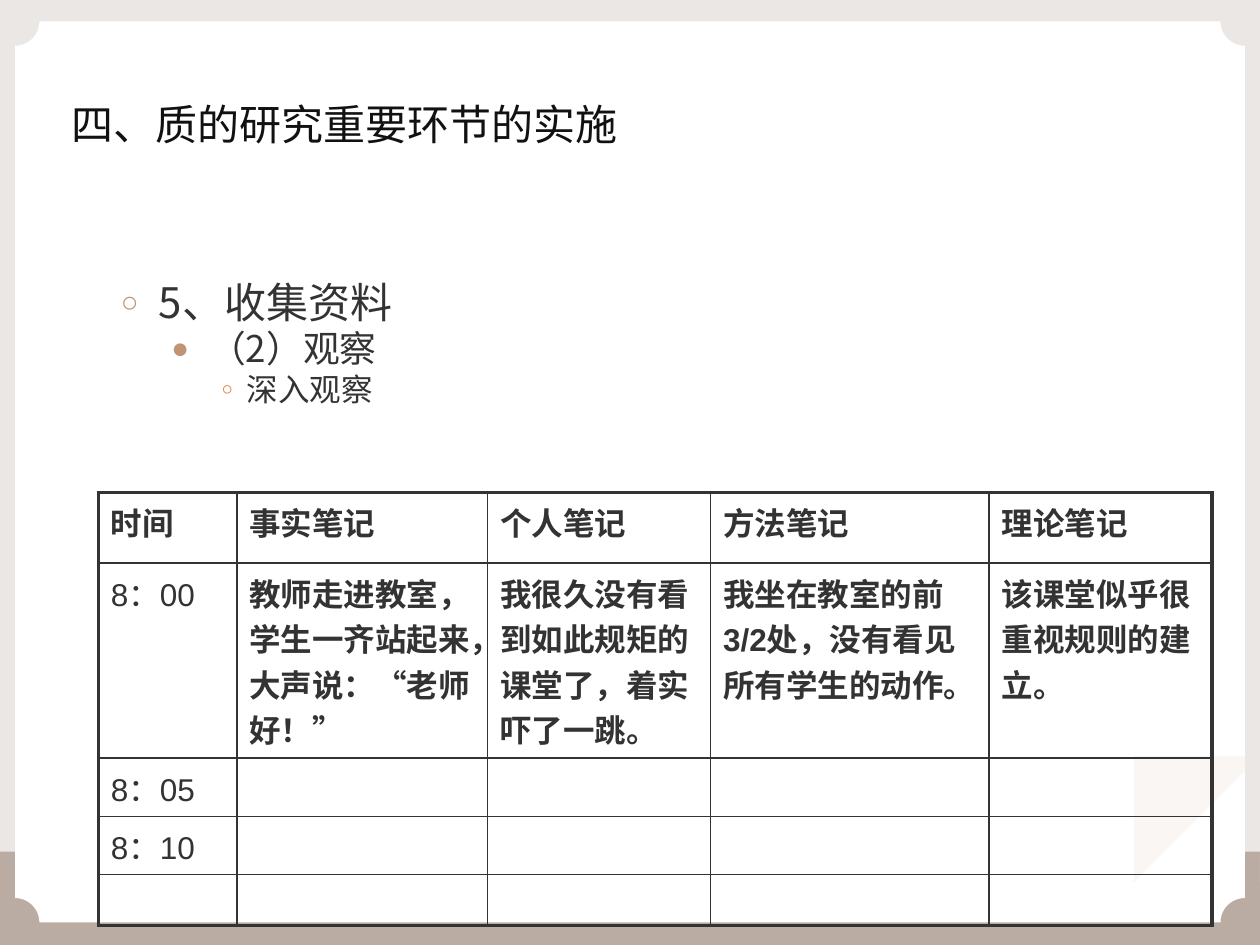
from lxml.etree import SubElement as Sub
from pptx import Presentation
from pptx.dml.color import RGBColor
from pptx.enum.shapes import MSO_SHAPE as Kind
from pptx.enum.text import MSO_ANCHOR as Anchor, MSO_AUTO_SIZE as Fit, PP_ALIGN as Align
from pptx.oxml.ns import qn
from pptx.util import Inches, Pt

# Content
TITLE = "四、质的研究重要环节的实施"
# text, size, left margin, hanging indent, bullet, bullet colour, bullet percent
POINTS = [
    ("5、收集资料", 24, 0.3, 0.3, "○", "tan", 70),
    ("（2）观察", 21, 0.7, 0.3, "●", "tan", 80),
    ("深入观察", 18, 1.0, 0.2, "○", "orange", 60),
]
NOTES = [
    ["时间", "事实笔记", "个人笔记", "方法笔记", "理论笔记"],
    ["8：00", "教师走进教室，学生一齐站起来，大声说：“老师好！”",
     "我很久没有看到如此规矩的课堂了，着实吓了一跳。",
     "我坐在教室的前3/2处，没有看见所有学生的动作。",
     "该课堂似乎很重视规则的建立。"],
    ["8：05", "", "", "", ""],
    ["8：10", "", "", "", ""],
    ["", "", "", "", ""],
]
COLS = [1.1, 1.99, 1.77, 2.21, 1.77]
ROWS = [0.56, 0.89, 0.46, 0.39, 0.38]

# Brush mark: outer edge first, then the bare streaks inside it
BRUSH = [
    [(9.89, 6.13), (9.79, 6.26), (9.56, 6.48), (9.28, 6.75), (9.29, 6.79),
     (9.43, 6.75), (9.58, 6.62), (9.67, 6.53), (9.71, 6.55), (9.89, 6.42),
     (9.89, 7.11), (9.8, 7.16), (9.75, 7.24), (9.73, 7.33), (8.38, 7.33),
     (8.51, 7.12), (8.73, 6.87), (8.93, 6.66), (9.11, 6.48), (9.25, 6.39),
     (9.21, 6.45), (9.45, 6.33), (9.54, 6.28), (9.49, 6.38), (9.62, 6.29),
     (9.55, 6.42), (9.65, 6.34), (9.76, 6.25)],
    [(9.23, 6.49), (9.06, 6.66), (8.88, 6.88), (8.94, 6.84), (9.05, 6.69)],
    [(9.19, 6.64), (9.06, 6.77), (8.74, 7.17), (8.62, 7.33), (8.65, 7.33),
     (8.92, 6.98)],
    [(8.86, 6.91), (8.78, 6.99), (8.51, 7.33), (8.55, 7.33), (8.82, 6.97)],
]

COLOR = {"page": "FFFFFF", "frame": "EBE7E4", "base": "BAACA2",
         "brush": "F2E9E3", "title": "111111", "ink": "333333",
         "tan": "C09372", "orange": "E0752F"}
SANS = "Noto Sans CJK SC"
W, H = 10, 7.5


def rgb(name):
    return RGBColor.from_string(COLOR[name])


def paint(shape, name):
    shape.fill.solid()
    shape.fill.fore_color.rgb = rgb(name)
    shape.line.fill.background()
    shape.shadow.inherit = False


def style(par, size, color="ink", face=SANS, bold=False):
    for run in par.runs:
        font = run.font
        font.size, font.bold, font.name = Pt(size), bold, face
        font.color.rgb = rgb(color)
        Sub(font._element, qn("a:ea"), typeface=SANS)


def place(shape, *box):
    shape.left, shape.top, shape.width, shape.height = map(Inches, box)


def bullet(par, left, hang, char, color, share):
    props = par._p.get_or_add_pPr()
    props.set("marL", str(Inches(left)))
    props.set("indent", str(-Inches(hang)))
    Sub(Sub(props, qn("a:buClr")), qn("a:srgbClr"), val=COLOR[color])
    Sub(props, qn("a:buSzPct"), val=str(share * 1000))
    Sub(props, qn("a:buChar"), char=char)


def border(cell, sides):
    props = cell._tc.get_or_add_tcPr()
    for side, outer in sides.items():
        line = Sub(props, qn("a:ln" + side), w=str(Pt(2.25 if outer else 1)))
        Sub(Sub(line, qn("a:solidFill")), qn("a:srgbClr"), val=COLOR["ink"])


deck = Presentation()
deck.slide_width, deck.slide_height = Inches(W), Inches(H)
slide = deck.slides.add_slide(deck.slide_layouts[1])
shapes = slide.shapes
title, body = shapes.title, slide.placeholders[1]
slide.background.fill.solid()
slide.background.fill.fore_color.rgb = rgb("page")

# Frame
for kind, box, name in [
    (Kind.RECTANGLE, (0, 0, W, H), "frame"),
    (Kind.RECTANGLE, (0, 6.76, W, H - 6.76), "base"),
    (Kind.PLAQUE, (0.12, 0.17, 9.76, 7.15), "page"),
]:
    panel = shapes.add_shape(kind, *map(Inches, box))
    paint(panel, name)
    if kind == Kind.PLAQUE:
        panel.adjustments[0] = 0.027

# Brush mark
pen = shapes.build_freeform(*BRUSH[0][0], scale=Inches(1))
for step, ring in enumerate(BRUSH):
    if step:
        pen.move_to(*ring[0])
    pen.add_line_segments(ring[1:], close=True)
mark = pen.convert_to_shape()
paint(mark, "brush")
tint = mark._element.spPr.find(qn("a:solidFill"))[0]
Sub(tint, qn("a:alpha"), val="40000")

# List
shapes._spTree.append(body._element)
place(body, 0.86, 2.19, 8.7, 4.24)
frame = body.text_frame
frame.text = "\n".join(point[0] for point in POINTS)
frame.auto_size, frame.vertical_anchor = Fit.NONE, Anchor.TOP
for level, (par, point) in enumerate(zip(frame.paragraphs, POINTS)):
    par.level = level
    bullet(par, *point[2:])
    par.line_spacing = 0.9
    par.space_before = Pt(2 if level else 0)
    style(par, point[1])

# Table of notes
grid = shapes.add_table(len(ROWS), len(COLS), Inches(0.78), Inches(3.91),
                        Inches(sum(COLS)), Inches(sum(ROWS))).table
grid.first_row = grid.horz_banding = False
for col, width in zip(grid.columns, COLS):
    col.width = Inches(width)
for row, height in zip(grid.rows, ROWS):
    row.height = Inches(height)
for r, line in enumerate(NOTES):
    for c, text in enumerate(line):
        cell = grid.cell(r, c)
        border(cell, {"L": c == 0, "R": c == len(COLS) - 1,
                      "T": r == 0, "B": r == len(ROWS) - 1})
        cell.fill.background()
        if text:
            cell.text = text
            style(cell.text_frame.paragraphs[0], 18, face="Arial",
                  bold=r == 0 or c > 0)

# Title
shapes._spTree.append(title._element)
place(title, 0.57, 0.39, 8.86, 0.79)
frame = title.text_frame
frame.text = TITLE
frame.auto_size, frame.vertical_anchor = Fit.NONE, Anchor.BOTTOM
frame.margin_left = frame.margin_right = frame.margin_top = frame.margin_bottom = 0
frame.paragraphs[0].alignment = Align.LEFT
style(frame.paragraphs[0], 24, "title")

deck.save("out.pptx")
